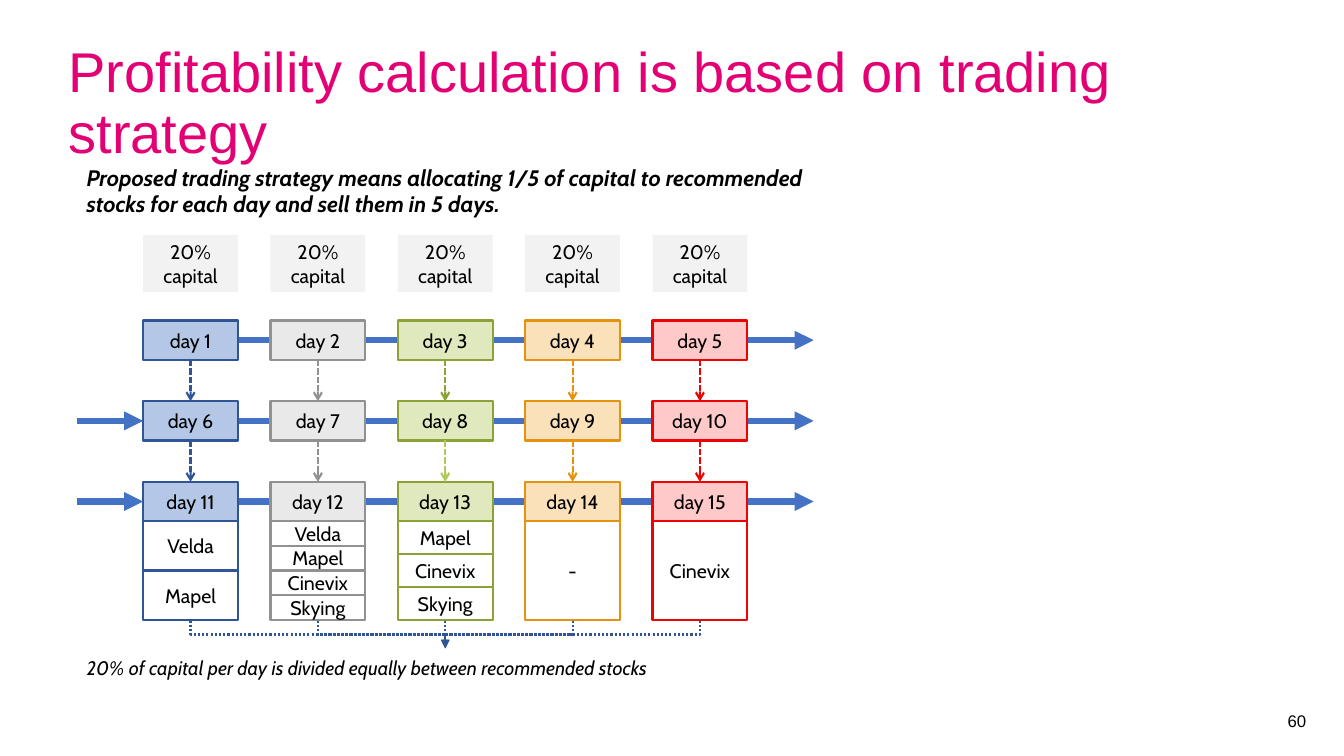
from dataclasses import dataclass
from typing import Optional

from lxml import etree
from pptx import Presentation
from pptx.dml.color import RGBColor
from pptx.enum.dml import MSO_LINE
from pptx.enum.shapes import MSO_CONNECTOR, MSO_SHAPE
from pptx.enum.text import MSO_ANCHOR, MSO_AUTO_SIZE, PP_ALIGN
from pptx.oxml.ns import qn
from pptx.shapes.autoshape import Shape
from pptx.shapes.connector import Connector
from pptx.slide import Slide
from pptx.text.text import TextFrame
from pptx.util import Inches, Pt

STRAIGHT, ELBOW = MSO_CONNECTOR.STRAIGHT, MSO_CONNECTOR.ELBOW
RECTANGLE = MSO_SHAPE.RECTANGLE
DASHED, DOTTED = MSO_LINE.SQUARE_DOT, MSO_LINE.ROUND_DOT
TOP, MIDDLE = MSO_ANCHOR.TOP, MSO_ANCHOR.MIDDLE
LEFT, CENTER = PP_ALIGN.LEFT, PP_ALIGN.CENTER
TOP_SIDE, LEFT_SIDE, BOTTOM_SIDE = 0, 1, 2

BLACK = RGBColor(0x00, 0x00, 0x00)
MAGENTA = RGBColor(0xE2, 0x00, 0x74)
FLOW_BLUE = RGBColor(0x44, 0x72, 0xC4)
NAVY = RGBColor(0x2F, 0x55, 0x97)
PALE_BLUE = RGBColor(0xB4, 0xC7, 0xE7)
GREY = RGBColor(0x91, 0x91, 0x91)
PALE_GREY = RGBColor(0xE9, 0xE9, 0xE9)
OLIVE = RGBColor(0x8B, 0xA3, 0x36)
LIME = RGBColor(0xB0, 0xC8, 0x5A)
PALE_GREEN = RGBColor(0xDF, 0xE9, 0xBD)
ORANGE = RGBColor(0xE4, 0x92, 0x10)
PALE_ORANGE = RGBColor(0xFA, 0xE1, 0xBA)
RED = RGBColor(0xEB, 0x04, 0x02)
PALE_RED = RGBColor(0xFF, 0xC9, 0xC9)
CAPITAL_GREY = RGBColor(0xF2, 0xF2, 0xF2)

# Grid of the diagram, in inches
GRID_LEFT, COLUMN_PITCH, BOX_WIDTH = 1.42, 1.263, 0.94
GRID_TOP, ROW_PITCH, DAY_HEIGHT, ROWS = 3.18, 0.8, 0.39, 3
CAPITAL_TOP, CAPITAL_HEIGHT = 2.33, 0.57
STOCKS_TOP, STOCKS_HEIGHT = 5.17, 0.98
FLOW_START, FLOW_END = 0.76, 8.07
COLLECT_TOP, COLLECT_BOTTOM = 6.16, 6.43


@dataclass(frozen=True)
class Tranche:
    """One fifth of the capital: its colours and latest stocks."""
    fill: RGBColor
    border: RGBColor
    stocks: tuple[str, ...]
    second_arrow: Optional[RGBColor] = None


TRANCHES = (
    Tranche(PALE_BLUE, NAVY, ("Velda", "Mapel")),
    Tranche(PALE_GREY, GREY, ("Velda", "Mapel", "Cinevix", "Skying")),
    Tranche(PALE_GREEN, OLIVE, ("Mapel", "Cinevix", "Skying"), LIME),
    Tranche(PALE_ORANGE, ORANGE, ("-",)),
    Tranche(PALE_RED, RED, ("Cinevix",)),
)


def column_left(column: int) -> float:
    return GRID_LEFT + column * COLUMN_PITCH


def row_top(row: int) -> float:
    return GRID_TOP + row * ROW_PITCH


def write(frame: TextFrame, text: str, *, size: float = 14, font: str = "Cabin",
          color: RGBColor = BLACK, bold: bool = False, italic: bool = False,
          align: PP_ALIGN = LEFT, anchor: MSO_ANCHOR = MIDDLE,
          inset: bool = True, spacing: Optional[float] = None) -> None:
    frame.word_wrap = True
    frame.auto_size = MSO_AUTO_SIZE.NONE
    frame.vertical_anchor = anchor
    if not inset:
        frame.margin_left = frame.margin_right = 0
        frame.margin_top = frame.margin_bottom = 0
    paragraph = frame.paragraphs[0]
    paragraph.alignment = align
    if spacing:
        paragraph.line_spacing = spacing
    run = paragraph.add_run()
    run.text = text
    run.font.size, run.font.name = Pt(size), font
    run.font.bold, run.font.italic = bold, italic
    run.font.color.rgb = color


def add_label(slide: Slide, text: str, left: float, top: float, width: float,
              height: float, **text_format) -> None:
    label = slide.shapes.add_textbox(
        Inches(left), Inches(top), Inches(width), Inches(height))
    write(label.text_frame, text, **text_format)


def add_box(slide: Slide, text: str, column: int, top: float, height: float,
            fill: Optional[RGBColor] = None,
            border: Optional[RGBColor] = None) -> Shape:
    box = slide.shapes.add_shape(
        RECTANGLE, Inches(column_left(column)), Inches(top),
        Inches(BOX_WIDTH), Inches(height))
    box.shadow.inherit = False
    if fill is None:
        box.fill.background()
    else:
        box.fill.solid()
        box.fill.fore_color.rgb = fill
    if border is None:
        box.line.fill.background()
    else:
        box.line.color.rgb = border
        box.line.width = Pt(1.5)
    write(box.text_frame, text, align=CENTER)
    return box


def add_arrow(slide: Slide, x1: float, y1: float, x2: float, y2: float,
              color: RGBColor, *, weight: float = 1.5,
              dash: Optional[MSO_LINE] = None, head: str = "triangle",
              kind: MSO_CONNECTOR = STRAIGHT) -> Connector:
    arrow = slide.shapes.add_connector(
        kind, Inches(x1), Inches(y1), Inches(x2), Inches(y2))
    arrow.line.color.rgb = color
    arrow.line.width = Pt(weight)
    if dash is not None:
        arrow.line.dash_style = dash
    properties = arrow.element.spPr
    etree.SubElement(properties.find(qn("a:ln")), qn("a:tailEnd"), type=head)
    etree.SubElement(properties, qn("a:effectLst"))
    return arrow


def add_collector(slide: Slide, x: float, target: float) -> None:
    """Dotted arrow that leaves downwards, turns to the target and ends downwards."""
    if x == target:
        add_arrow(slide, x, COLLECT_TOP, x, COLLECT_BOTTOM, NAVY, dash=DOTTED)
        return
    half_drop = (COLLECT_BOTTOM - COLLECT_TOP) / 2
    half_span = (target - x) / 2
    center_x, center_y = x + half_span, COLLECT_TOP + half_drop
    direction = 1 if half_span > 0 else -1
    arrow = add_arrow(
        slide, center_x + direction * half_drop, center_y - abs(half_span),
        center_x - direction * half_drop, center_y + abs(half_span),
        NAVY, dash=DOTTED, kind=ELBOW)
    quarter_turn = 270 if direction > 0 else 90
    arrow.element.spPr.find(qn("a:xfrm")).set("rot", str(quarter_turn * 60000))


def add_day_row(slide: Slide, row: int) -> list[Shape]:
    top = row_top(row)
    middle = top + DAY_HEIGHT / 2
    flow = add_arrow(slide, GRID_LEFT, middle, FLOW_END, middle, FLOW_BLUE, weight=4.5)
    days = [
        add_box(slide, f"day {row * len(TRANCHES) + column + 1}", column, top,
                DAY_HEIGHT, tranche.fill, tranche.border)
        for column, tranche in enumerate(TRANCHES)
    ]
    flow.begin_connect(days[0], LEFT_SIDE)
    if row > 0:
        entry = add_arrow(slide, FLOW_START, middle, GRID_LEFT, middle,
                          FLOW_BLUE, weight=4.5)
        entry.end_connect(days[0], LEFT_SIDE)
    return days


def add_renewals(slide: Slide, rows: list[list[Shape]]) -> None:
    for row in range(1, len(rows)):
        for column, tranche in enumerate(TRANCHES):
            x = column_left(column) + BOX_WIDTH / 2
            color = tranche.border
            if row == 2 and tranche.second_arrow is not None:
                color = tranche.second_arrow
            renewal = add_arrow(slide, x, row_top(row - 1) + DAY_HEIGHT, x,
                                row_top(row), color, dash=DASHED, head="arrow")
            renewal.begin_connect(rows[row - 1][column], BOTTOM_SIDE)
            renewal.end_connect(rows[row][column], TOP_SIDE)


def main() -> None:
    deck = Presentation()
    deck.slide_width, deck.slide_height = Inches(13.33), Inches(7.5)
    slide = deck.slides.add_slide(deck.slide_layouts[5])

    # Title and introduction
    title = slide.shapes.title
    title.left, title.top = Inches(0.68), Inches(0.44)
    title.width, title.height = Inches(11.97), Inches(0.79)
    write(title.text_frame, "Profitability calculation is based on trading strategy",
          size=40, font="Arial", color=MAGENTA, anchor=TOP, inset=False, spacing=0.9)
    add_label(slide, "Proposed trading strategy means allocating 1/5 of capital to "
              "recommended stocks for each day and sell them in 5 days.",
              0.76, 1.53, 7.31, 0.72, size=16, bold=True, italic=True)

    # Days and the arrows between them
    add_renewals(slide, [add_day_row(slide, row) for row in range(ROWS)])

    # Capital shares, recommended stocks and collecting arrows
    target = column_left(len(TRANCHES) // 2) + BOX_WIDTH / 2
    for column, tranche in enumerate(TRANCHES):
        add_box(slide, "20% capital", column, CAPITAL_TOP, CAPITAL_HEIGHT, CAPITAL_GREY)
        height = STOCKS_HEIGHT / len(tranche.stocks)
        for position, stock in enumerate(tranche.stocks):
            add_box(slide, stock, column, STOCKS_TOP + position * height, height,
                    border=tranche.border)
        add_collector(slide, column_left(column) + BOX_WIDTH / 2, target)

    # Conclusion and page number
    add_label(slide, "20% of capital per day is divided equally between recommended stocks",
              0.76, 6.43, 7.31, 0.39, italic=True)
    add_label(slide, "60", 12.77, 6.98, 0.28, 0.35, size=12, font="Arial", inset=False)

    deck.save("out.pptx")


if __name__ == "__main__":
    main()
